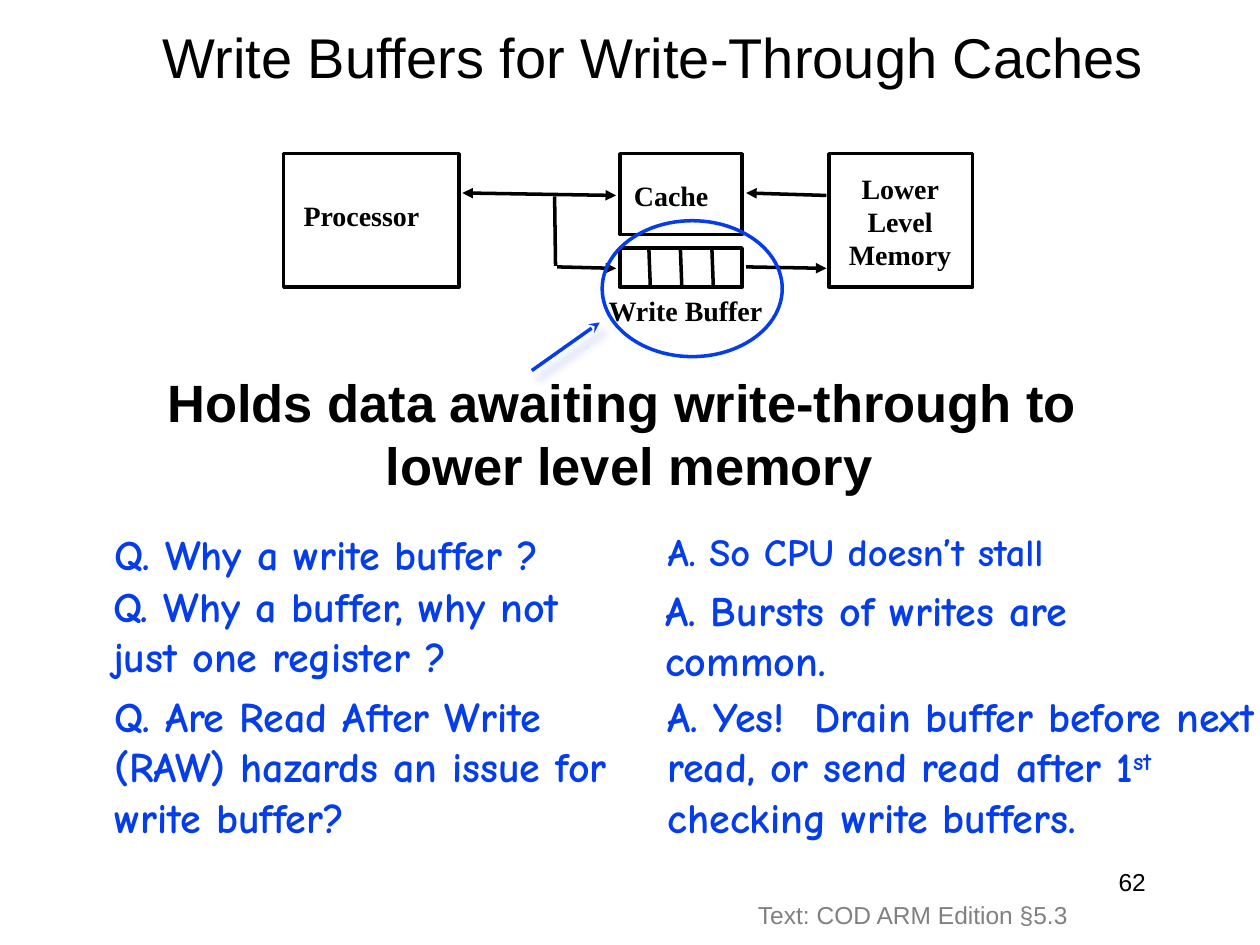
from lxml.etree import SubElement
from pptx import Presentation
from pptx.dml.color import RGBColor
from pptx.enum.shapes import MSO_CONNECTOR as Link, MSO_SHAPE as Shape
from pptx.enum.text import MSO_ANCHOR as Anchor, PP_ALIGN as Align
from pptx.oxml.ns import qn
from pptx.util import Cm, Pt

BLACK = RGBColor(0x00, 0x00, 0x00)
BLUE = RGBColor(0x05, 0x3D, 0xE8)
GRAY = RGBColor(0x80, 0x80, 0x80)
SANS, SERIF, HAND = "Arial", "Times New Roman", "Comic Neue"


class Painter:
    """Draws elements on one slide; all lengths are in centimetres."""

    line_width = Pt(2)

    def __init__(self, page):
        self.page = page

    def text(self, left, top, width, height, paragraphs, font, size, color=BLACK,
             bold=False, align=Align.LEFT, anchor=Anchor.TOP,
             inset=(0, 0), spacing=None):
        """Each paragraph is a string, or a list of (text, is_superscript)."""
        box = self.page.shapes.add_textbox(Cm(left), Cm(top), Cm(width), Cm(height))
        frame = box.text_frame
        frame.word_wrap = True
        frame.vertical_anchor = anchor
        frame.margin_left = frame.margin_right = Cm(inset[0])
        frame.margin_top = frame.margin_bottom = Cm(inset[1])
        for index, content in enumerate(paragraphs):
            para = frame.paragraphs[0] if index == 0 else frame.add_paragraph()
            para.alignment = align
            if spacing:
                para.line_spacing = spacing
            para.font.name, para.font.size = font, Pt(size)
            para.font.bold = bold
            para.font.color.rgb = color
            parts = [(content, False)] if isinstance(content, str) else content
            for words, raised in parts:
                span = para.add_run()
                span.text = words
                if raised:
                    span.font._element.set("baseline", "30000")

    def label(self, left, top, width, height, words, align=Align.LEFT):
        self.text(left, top, width, height, [words], SERIF, 16, bold=True,
                  align=align, spacing=Pt(19))

    def note(self, left, top, width, height, paragraphs, size=24):
        self.text(left, top, width, height, paragraphs, HAND, size, BLUE, bold=True)

    def outline(self, kind, left, top, width, height, color=BLACK):
        shape = self.page.shapes.add_shape(
            kind, Cm(left), Cm(top), Cm(width), Cm(height))
        shape.shadow.inherit = False
        shape.fill.background()
        shape.line.color.rgb = color
        shape.line.width = self.line_width

    def line(self, start, end, color=BLACK, head=None, tail=None, shadow=False):
        link = self.page.shapes.add_connector(
            Link.STRAIGHT, *(Cm(value) for value in (*start, *end)))
        link.line.color.rgb = color
        link.line.width = self.line_width
        stroke = link.line._get_or_add_ln()
        for tag, arrow in (("a:headEnd", head), ("a:tailEnd", tail)):
            if arrow:
                SubElement(stroke, qn(tag), type=arrow)
        effects = SubElement(link._element.spPr, qn("a:effectLst"))
        if shadow:
            cast = SubElement(effects, qn("a:outerShdw"), blurRad=str(Pt(5)),
                              dist=str(Pt(6)), dir=str(57 * 60000), rotWithShape="0")
            tint = SubElement(cast, qn("a:srgbClr"), val=str(color))
            SubElement(tint, qn("a:alpha"), val="25000")


def main():
    deck = Presentation()
    deck.slide_width, deck.slide_height = Cm(25.4), Cm(19.05)
    painter = Painter(deck.slides.add_slide(deck.slide_layouts[6]))

    # Title
    painter.text(0.71, 0.18, 24.92, 1.91, ["Write Buffers for Write-Through Caches"],
                 SANS, 32, align=Align.CENTER, anchor=Anchor.MIDDLE,
                 inset=(0.25, 0.13))

    # Processor, cache, write buffer and memory
    for frame in ((5.72, 3.1, 3.53, 2.69), (12.5, 3.1, 2.46, 1.63),
                  (12.5, 5, 2.46, 0.79), (16.71, 3.1, 2.9, 2.69)):
        painter.outline(Shape.RECTANGLE, *frame)
    for slot in range(3):
        x = 13.08 + 0.635 * slot
        painter.line((x, 5), (x + 0.03, 5.79))
    painter.label(6.12, 4.02, 2.6, 0.66, "Processor")
    painter.label(12.78, 3.61, 1.8, 0.66, "Cache")
    painter.label(12.27, 5.92, 3.4, 0.66, "Write Buffer")
    painter.label(16.89, 3.46, 2.51, 2.01, "Lower Level Memory", Align.CENTER)

    # Data paths
    painter.line((9.32, 3.89), (12.42, 3.94), head="triangle", tail="triangle")
    painter.line((15.04, 3.89), (16.66, 3.94), head="triangle")
    painter.line((11.18, 3.96), (11.2, 5.36))
    for start, end in ((11.23, 12.42), (15.04, 16.66)):
        painter.line((start, 5.38), (end, 5.41), tail="triangle")

    # Highlight and its explanation
    painter.outline(Shape.OVAL, 12.14, 4.45, 3.63, 2.74, BLUE)
    painter.line((10.72, 7.47), (12.09, 6.5), BLUE, tail="stealth", shadow=True)
    painter.text(2.49, 7.47, 20.4, 2.54,
                 ["Holds data awaiting write-through to ", "lower level memory"],
                 SANS, 30, bold=True, align=Align.CENTER)

    # Questions
    painter.note(2.31, 10.65, 10.08, 1.02, ["Q. Why a write buffer ?"])
    painter.note(2.28, 11.7, 10.08, 2.06,
                 ["Q. Why a buffer, why not just one register ?"])
    painter.note(2.31, 13.92, 10.49, 3.07,
                 ["Q. Are Read After Write (RAW) hazards an issue for write buffer?"])

    # Answers
    painter.note(13.46, 10.64, 10.08, 0.94, ["A. So CPU doesn’t stall"], size=22)
    painter.note(13.41, 11.78, 10.08, 2.06, ["A. Bursts of writes are", "common."])
    painter.note(13.46, 13.92, 11.91, 3.07,
                 [[("A. Yes!  Drain buffer before next read, or send read after 1", False),
                   ("st", True), (" checking write buffers.", False)]])

    # Page number and source
    painter.text(18.21, 17.35, 5.14, 1.27, ["62"], SANS, 14, align=Align.RIGHT,
                 inset=(0.25, 0.13))
    painter.text(15.03, 18.02, 7.82, 0.86, ["Text: COD ARM Edition §5.3"], SANS, 14,
                 GRAY, inset=(0.25, 0.13))

    deck.save("out.pptx")


if __name__ == "__main__":
    main()
